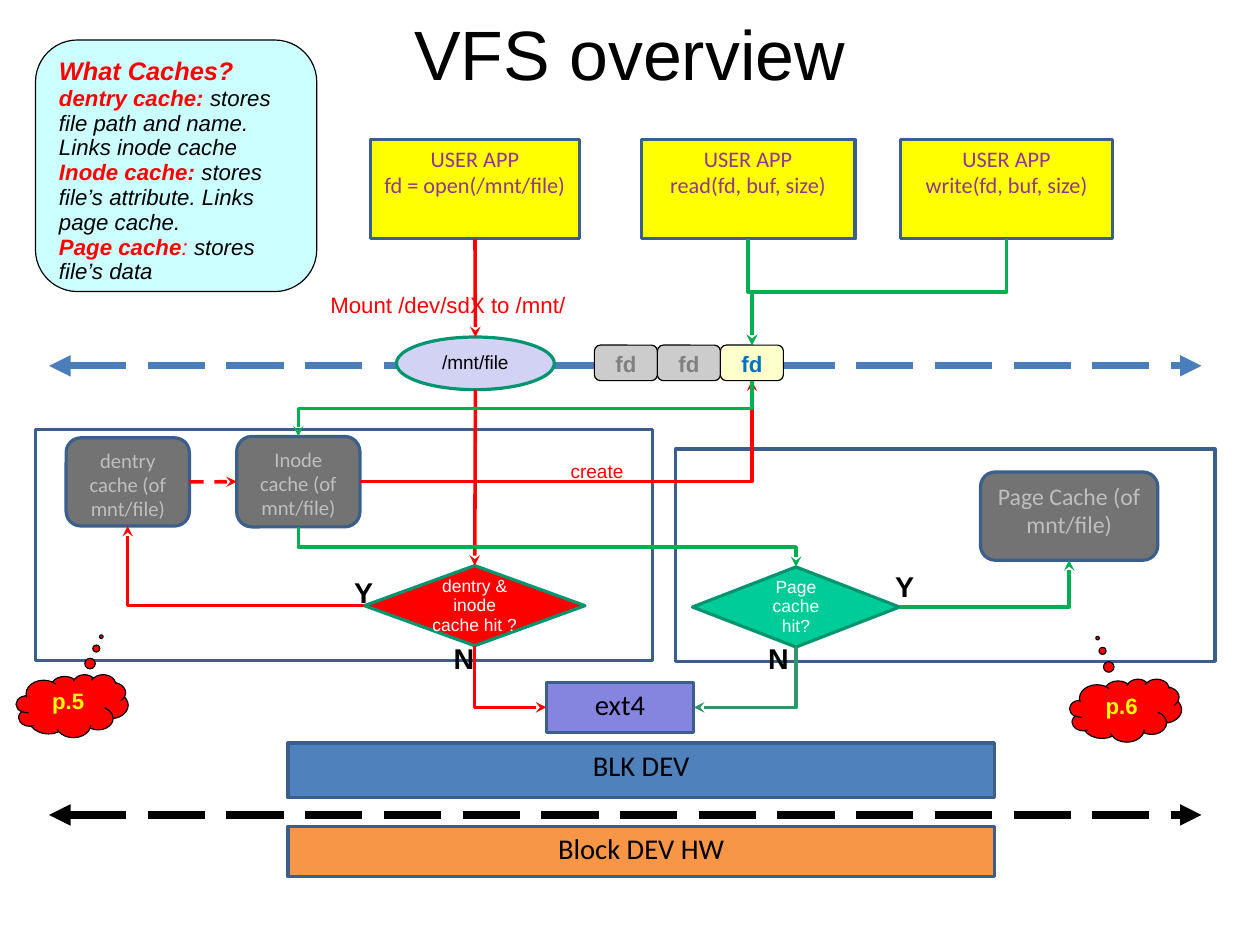
from dataclasses import dataclass

from lxml import etree
from pptx import Presentation
from pptx import util as u
from pptx.dml.color import RGBColor
from pptx.enum import dml, shapes, text
from pptx.oxml.ns import qn

COLORS = {
    "white": "FFFFFF", "black": "000000", "red": "FF0000", "yellow": "FFFF00",
    "navy": "3A5F8B", "blue": "4F81BD", "divider": "4A7EBB", "orange": "F79646",
    "violet": "8585E0", "lilac": "D2D2F4", "purple": "923595", "teal": "00956F",
    "mint": "00CC99", "green": "00B050", "sea": "32946A", "slate": "737373",
    "silver": "BFBFBF", "light": "CCCCCC", "gray": "808080", "cream": "FFFFCC",
    "link": "0070C0", "ice": "CCFFFF",
}
KINDS = shapes.MSO_SHAPE
TOP, LEFT, BOTTOM, RIGHT = range(4)


@dataclass(frozen=True)
class Run:
    words: str
    size: float
    color: str = "black"
    font: str = "Arial"
    bold: bool = False
    italic: bool = False


@dataclass(frozen=True)
class Style:
    kind: int = KINDS.RECTANGLE
    line: str = "navy"
    width: float = 2
    spacing: float = 0.98
    inset: tuple = (0.28, 0.15, 0.28, 0.13)
    middle: bool = False
    centered: bool = True


@dataclass(frozen=True)
class Box:
    name: str
    style: Style
    place: tuple
    fill: str
    lines: tuple = ()
    adjustments: tuple = ()


@dataclass(frozen=True)
class Flow:
    start: str
    start_side: int
    end: str
    end_side: int
    color: str
    straight: bool = False
    dashed: bool = False


THIN_INSET = (0.25, 0.13, 0.25, 0.13)
LABEL_INSET = (0.28, 0.15, 0.28, 0.15)
PLAIN = Style()
ROUND = Style(KINDS.ROUNDED_RECTANGLE)
OVAL = Style(KINDS.OVAL, "teal", 2, 0.93, LABEL_INSET, True)
DECISION = Style(KINDS.FLOWCHART_DECISION, "teal", 2, 0.93, LABEL_INSET, True)
SLOT = Style(KINDS.ROUNDED_RECTANGLE, "black", 0.75, 0.93, THIN_INSET)
CLOUD = Style(KINDS.CLOUD_CALLOUT, "black", 0.75, 0.93, THIN_INSET)
NOTE = Style(KINDS.ROUNDED_RECTANGLE, "black", 0.75, 0.93, THIN_INSET, False, False)
LABEL = Style(spacing=0.93, inset=LABEL_INSET, centered=False)
TITLE = Style(spacing=0.93, inset=(0, 0, 0, 0), middle=True)


def calibri(words: str, size: float, color: str = "black") -> tuple:
    return (Run(words, size, color, "Calibri"),)


def arial(words: str, size: float, color: str = "black", bold: bool = False) -> tuple:
    return (Run(words, size, color, bold=bold),)


def note(words: str, color: str = "black", bold: bool = False, size: float = 14) -> Run:
    return Run(words, size, color, bold=bold, italic=True)


PANELS = [
    Box("page panel", PLAIN, (15.01, 9.98, 11.99, 4.72), "white"),
    Box("inode panel", PLAIN, (0.79, 9.55, 13.72, 5.13), "white"),
]
APPS = [
    Box(name, PLAIN, (left, 3.1, width, 2.21), "yellow",
        (calibri("USER APP", 14, "purple"), calibri(call, 14, "purple")))
    for name, left, width, call in (
        ("open", 8.23, 4.65, "fd = open(/mnt/file)"),
        ("read", 14.25, 4.75, "read(fd, buf, size)"),
        ("write", 20.02, 4.7, "write(fd, buf, size)"))
]
SLOTS = [
    Box(f"fd{index}", SLOT, (13.21 + 1.4 * index, 7.67, 1.4, 0.79), fill,
        (arial("fd", 14, color, True),))
    for index, (fill, color) in enumerate(
        (("light", "gray"), ("light", "gray"), ("cream", "link")))
]
STAGES = [
    Box("ext4", PLAIN, (12.14, 15.16, 3.28, 1.12), "violet", (calibri("ext4", 18),)),
    Box("blk", PLAIN, (6.4, 16.51, 15.7, 1.22), "blue", (calibri("BLK DEV", 18),)),
    Box("hw", PLAIN, (6.4, 18.36, 15.7, 1.12), "orange", (calibri("Block DEV HW", 18),)),
    Box("page", ROUND, (21.79, 10.49, 3.94, 1.96), "slate",
        (calibri("Page Cache (of mnt/file)", 15, "silver"),)),
    Box("dentry", ROUND, (1.47, 9.73, 2.74, 1.96), "slate",
        (calibri("dentry cache (of mnt/file)", 13, "silver"),)),
    Box("inode", ROUND, (5.26, 9.7, 2.74, 2.01), "slate",
        (calibri("Inode cache (of mnt/file)", 13, "silver"),)),
    Box("file", OVAL, (8.81, 7.49, 3.51, 1.17), "lilac", (arial("/mnt/file", 12),)),
    Box("inode hit", DECISION, (8.1, 12.57, 4.9, 1.78), "red",
        (arial("dentry & inode cache hit ?", 11, "white"),)),
    Box("page hit", DECISION, (15.39, 12.6, 4.6, 1.78), "mint",
        (arial("Page cache hit?", 11, "white"),)),
    Box("p5", CLOUD, (0.36, 14.99, 2.49, 1.4), "red",
        (arial("p.5", 14, "yellow", True),), (0.26, -1.1)),
    Box("p6", CLOUD, (23.77, 15.09, 2.49, 1.4), "red",
        (arial("p.6", 14, "yellow", True),), (-0.25, -1.15)),
    Box("note", NOTE, (0.79, 0.89, 6.25, 5.59), "ice", (
        (note("What Caches?", "red", True, 16),),
        (note("dentry cache: ", "red", True),
         note("stores file path and name. Links inode cache")),
        (note("Inode cache: ", "red", True),
         note("stores file’s attribute. Links page cache.")),
        (note("Page cache", "red", True), note(": ", "red"), note("stores file’s data")))),
]
LABELS = [
    (TITLE, (1.4, 0.23, 25.2, 2.06), arial("VFS overview", 44)),
    (LABEL, (7.06, 6.38, 6.25, 0.84), arial("Mount /dev/sdX to /mnt/", 14, "red")),
    (LABEL, (12.4, 10.11, 2.11, 0.76), arial("create", 12, "red")),
] + [
    (LABEL, (left, top, 0.83, 0.99), arial(answer, 18, bold=True))
    for answer, left, top in (("N", 9.8, 14.17), ("Y", 7.59, 12.7),
                              ("N", 16.79, 14.17), ("Y", 19.61, 12.57))
]
FLOWS = [
    Flow("open", BOTTOM, "file", TOP, "red", straight=True),
    Flow("file", BOTTOM, "inode hit", TOP, "red", straight=True),
    Flow("dentry", RIGHT, "inode", LEFT, "red", straight=True, dashed=True),
    Flow("inode hit", BOTTOM, "ext4", LEFT, "red"),
    Flow("inode hit", LEFT, "dentry", BOTTOM, "red"),
    Flow("inode", RIGHT, "fd2", BOTTOM, "red"),
    Flow("page hit", RIGHT, "page", BOTTOM, "green"),
    Flow("page hit", BOTTOM, "ext4", RIGHT, "sea"),
    Flow("read", BOTTOM, "fd2", TOP, "green"),
    Flow("write", BOTTOM, "fd2", TOP, "green"),
    Flow("fd2", BOTTOM, "inode", TOP, "green"),
    Flow("inode", BOTTOM, "page hit", TOP, "green"),
]


def rgb(name: str) -> RGBColor:
    return RGBColor.from_string(COLORS[name])


def write(shape, style: Style, lines: tuple) -> None:
    frame = shape.text_frame
    frame.word_wrap = True
    frame.vertical_anchor = text.MSO_ANCHOR.MIDDLE if style.middle else text.MSO_ANCHOR.TOP
    (frame.margin_left, frame.margin_top,
     frame.margin_right, frame.margin_bottom) = map(u.Cm, style.inset)
    for index, runs in enumerate(lines):
        paragraph = frame.add_paragraph() if index else frame.paragraphs[0]
        paragraph.alignment = text.PP_ALIGN.CENTER if style.centered else text.PP_ALIGN.LEFT
        paragraph.line_spacing = style.spacing
        for item in runs:
            run = paragraph.add_run()
            run.text = item.words
            run.font.name, run.font.size = item.font, u.Pt(item.size)
            run.font.bold, run.font.italic = item.bold, item.italic
            run.font.color.rgb = rgb(item.color)


def draw_box(slide, box: Box):
    shape = slide.shapes.add_shape(box.style.kind, *map(u.Cm, box.place))
    shape.shadow.inherit = False
    shape.fill.solid()
    shape.fill.fore_color.rgb = rgb(box.fill)
    shape.line.color.rgb = rgb(box.style.line)
    shape.line.width = u.Pt(box.style.width)
    for index, value in enumerate(box.adjustments):
        shape.adjustments[index] = value
    write(shape, box.style, box.lines)
    return shape


def draw_line(connector, color: str, width: float, **arrows: str) -> None:
    connector.line.color.rgb = rgb(color)
    connector.line.width = u.Pt(width)
    for end, arrow in arrows.items():
        etree.SubElement(connector.line._get_or_add_ln(), qn(f"a:{end}"), type=arrow)
    etree.SubElement(connector._element.spPr, qn("a:effectLst"))


def draw_divider(slide, top: float, color: str) -> None:
    connector = slide.shapes.add_connector(
        shapes.MSO_CONNECTOR.STRAIGHT, *map(u.Cm, (1.09, top, 26.7, top)))
    connector.line.dash_style = dml.MSO_LINE.LONG_DASH
    draw_line(connector, color, 4.5, headEnd="triangle", tailEnd="triangle")


def side_point(shape, side: int) -> tuple:
    across, down = ((1, 0), (0, 1), (1, 2), (2, 1))[side]
    return shape.left + shape.width * across // 2, shape.top + shape.height * down // 2


def bend(connector, flow: Flow, start: tuple, end: tuple) -> None:
    upright = flow.start_side in (TOP, BOTTOM)
    if upright != (flow.end_side in (TOP, BOTTOM)):
        connector._element.spPr.find(qn("a:prstGeom")).set("prst", "bentConnector2")
    if not upright:
        return
    across, down = end[0] - start[0], end[1] - start[1]
    connector.width, connector.height = abs(down), abs(across)
    connector.left = (start[0] + end[0] - abs(down)) // 2
    connector.top = (start[1] + end[1] - abs(across)) // 2
    frame = connector._element.spPr.find(qn("a:xfrm"))
    frame.set("rot", str((270 if across > 0 else 90) * 60000))
    frame.set("flipH", str(int(across > 0)))
    frame.set("flipV", "0")


def draw_flow(slide, flow: Flow, drawn: dict) -> None:
    first, last = drawn[flow.start], drawn[flow.end]
    start, end = side_point(first, flow.start_side), side_point(last, flow.end_side)
    kinds = shapes.MSO_CONNECTOR
    connector = slide.shapes.add_connector(
        kinds.STRAIGHT if flow.straight else kinds.ELBOW, *start, *end)
    if first.auto_shape_type != KINDS.OVAL:
        connector.begin_connect(first, flow.start_side)
    connector.end_connect(last, flow.end_side)
    if not flow.straight:
        bend(connector, flow, start, end)
    if flow.dashed:
        connector.line.dash_style = dml.MSO_LINE.DASH
    draw_line(connector, flow.color, 2.25, tailEnd="stealth")


def main() -> None:
    presentation = Presentation()
    presentation.slide_width, presentation.slide_height = u.Cm(28), u.Cm(21)
    slide = presentation.slides.add_slide(presentation.slide_layouts[6])
    for panel in PANELS:
        draw_box(slide, panel)
    draw_divider(slide, 8.13, "divider")
    draw_divider(slide, 18.11, "black")
    drawn = {box.name: draw_box(slide, box) for box in APPS + SLOTS + STAGES}
    for style, place, runs in LABELS:
        write(slide.shapes.add_textbox(*map(u.Cm, place)), style, (runs,))
    for flow in FLOWS:
        draw_flow(slide, flow, drawn)
    presentation.save("out.pptx")


if __name__ == "__main__":
    main()
